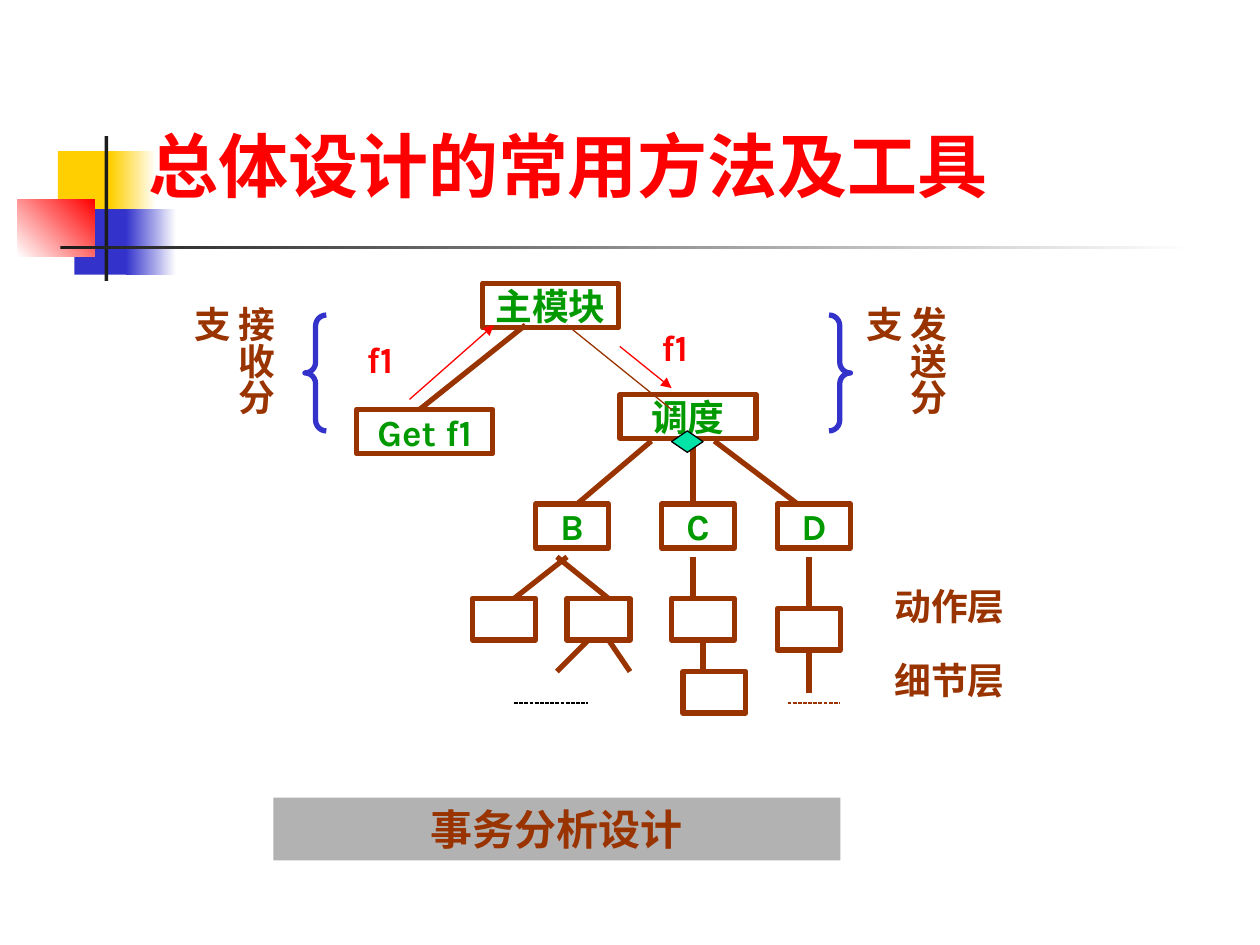
from pptx import Presentation
from pptx import util as u
from pptx.dml import color
from pptx.enum import dml, shapes, text
from pptx.oxml import ns
from lxml import etree

COLORS = {
    "yellow": "FFCF01", "blue": "3333CC", "red": "FF0000", "white": "FFFFFF",
    "ink": "1C1C1C", "black": "000000", "gray": "B2B2B2", "brown": "993300",
    "green": "009900", "teal": "00E4A8",
}
SHAPE = shapes.MSO_SHAPE


def rgb(name):
    return color.RGBColor.from_string(COLORS[name])


class Chart:
    """Draws a module structure chart on one slide in a shared style."""

    font = "Karla"
    size = 21
    stroke = 3

    def __init__(self, slide):
        self.slide = slide

    def shape(self, kind, box, fill=None, line=None, width=stroke):
        shape = self.slide.shapes.add_shape(kind, *map(u.Inches, box))
        shape.shadow.inherit = False
        if fill:
            shape.fill.solid()
            shape.fill.fore_color.rgb = rgb(fill)
        else:
            shape.fill.background()
        if line:
            shape.line.color.rgb = rgb(line)
            shape.line.width = u.Pt(width)
        else:
            shape.line.fill.background()
        return shape

    def gradient(self, box, start, end, angle=0):
        shape = self.shape(SHAPE.RECTANGLE, box)
        shape.fill.gradient()
        shape.fill.gradient_angle = angle
        for stop, name in zip(shape.fill.gradient_stops, (start, end)):
            stop.color.rgb = rgb(name)

    def set_text(self, shape, words, ink, size=size, font=font, align=text.PP_ALIGN.LEFT,
                 insets=(0.1, 0.05, 0.1, 0.05)):
        frame = shape.text_frame
        frame.word_wrap = True
        frame.auto_size = text.MSO_AUTO_SIZE.SHAPE_TO_FIT_TEXT
        frame.vertical_anchor = text.MSO_ANCHOR.TOP
        (frame.margin_left, frame.margin_top,
         frame.margin_right, frame.margin_bottom) = map(u.Inches, insets)
        paragraph = frame.paragraphs[0]
        paragraph.text = words
        paragraph.alignment = align
        paragraph.font.name = font
        paragraph.font.size = u.Pt(size)
        paragraph.font.bold = True
        paragraph.font.color.rgb = rgb(ink)

    def label(self, words, box, ink="brown", **style):
        shape = self.slide.shapes.add_textbox(*map(u.Inches, box))
        self.set_text(shape, words, ink, **style)
        return shape

    def vertical_label(self, words, box):
        shape = self.label(words, box, insets=(0.05, 0.1, 0.05, 0.1))
        shape.text_frame._txBody.bodyPr.set("vert", "eaVert")

    def module(self, left, top, width, height=0.35, name=None):
        shape = self.shape(SHAPE.RECTANGLE, (left, top, width, height), line="brown")
        if name:
            self.set_text(shape, name, "green", align=text.PP_ALIGN.CENTER, insets=(0,) * 4)
        return shape

    def brace(self, kind, left):
        shape = self.shape(kind, (left, 2.5, 0.17, 0.92), line="blue")
        shape.adjustments[0] = 0.5

    def line(self, start, end, ink="brown", width=stroke, arrow=False, dash=None):
        connector = self.slide.shapes.add_connector(
            shapes.MSO_CONNECTOR.STRAIGHT, *map(u.Inches, start + end))
        connector.line.color.rgb = rgb(ink)
        connector.line.width = u.Pt(width)
        if dash:
            connector.line.dash_style = dash
        if arrow:
            etree.SubElement(connector.line._get_or_add_ln(), ns.qn("a:tailEnd"), type="triangle")
        etree.SubElement(connector._element.spPr, ns.qn("a:effectLst"))
        return connector


def main():
    presentation = Presentation()
    presentation.slide_width, presentation.slide_height = u.Inches(10), u.Inches(7.5)
    chart = Chart(presentation.slides.add_slide(presentation.slide_layouts[6]))

    chart.shape(SHAPE.RECTANGLE, (0.46, 1.2, 0.48, 0.52), "yellow")
    chart.gradient((0.88, 1.2, 0.36, 0.52), "yellow", "white")
    chart.shape(SHAPE.RECTANGLE, (0.59, 1.66, 0.46, 0.52), "blue")
    chart.gradient((1, 1.66, 0.4, 0.52), "blue", "white")
    chart.gradient((0.14, 1.58, 0.61, 0.46), "white", "red", 45)
    chart.shape(SHAPE.RECTANGLE, (0.83, 1.08, 0.03, 1.15), "ink")
    chart.gradient((0.48, 1.95, 9, 0.03), "ink", "white")
    chart.label("总体设计的常用方法及工具", (1.08, 0.92, 8.5, 0.77), "red",
                size=40, font="Times New Roman")

    caption = chart.shape(SHAPE.RECTANGLE, (2.17, 6.33, 4.5, 0.5), "gray")
    chart.set_text(caption, "事务分析设计", "brown", size=24, align=text.PP_ALIGN.CENTER)

    for name, left, top in (("主模块", 3.83, 2.25), ("Get f1", 2.83, 3.25), ("调度", 4.92, 3.13)):
        chart.module(left, top, 1.08, name=name)
    chart.line((4.17, 2.58), (3.33, 3.25))
    chart.line((4.5, 2.58), (5.33, 3.25), width=0.75)

    for start, end in (((3.25, 3.17), (3.92, 2.58)), ((4.92, 2.75), (5.33, 3.08))):
        chart.line(start, end, "red", 0.75, arrow=True)
    for left, top in ((2.83, 2.67), (5.17, 2.58)):
        chart.label("f1", (left, top, 0.67, 0.35), "red", insets=(0.08, 0, 0, 0))

    for name, left in (("B", 4.25), ("C", 5.25), ("D", 6.17)):
        chart.module(left, 4, 0.58, name=name)
    for left in (4.5, 3.75):
        chart.module(left, 4.75, 0.5, 0.33)
    action_c = chart.module(5.33, 4.75, 0.5, 0.33)
    action_d = chart.module(6.17, 4.83, 0.5, 0.33)
    chart.module(5.42, 5.33, 0.5, 0.33)

    for start, end in (
        ((5.17, 3.5), (4.58, 4)), ((5.5, 3.5), (5.5, 4)), ((5.67, 3.5), (6.33, 4)),
        ((4.5, 4.42), (4.08, 4.75)), ((4.42, 4.42), (4.83, 4.75)),
        ((5.5, 4.42), (5.5, 4.75)),
        ((4.67, 5.08), (4.42, 5.33)), ((4.83, 5.08), (5, 5.33)),
    ):
        chart.line(start, end)
    chart.line((6.42, 4.42), (6.42, 4.83)).end_connect(action_d, 0)
    chart.line((6.42, 5.16), (6.42, 5.5)).begin_connect(action_d, 2)
    chart.line((5.58, 5.08), (5.58, 5.33)).begin_connect(action_c, 2)
    for left, right, ink in ((4.08, 4.67, "black"), (6.25, 6.67, "brown")):
        chart.line((left, 5.58), (right, 5.58), ink, 0.75, dash=dml.MSO_LINE.SQUARE_DOT)

    chart.brace(SHAPE.LEFT_BRACE, 2.42)
    chart.brace(SHAPE.RIGHT_BRACE, 6.58)
    for words, left in (("接收分支", 1.7), ("发送分支", 7.04)):
        chart.vertical_label(words, (left, 2.33, 0.55, 1.33))
    chart.shape(SHAPE.DIAMOND, (5.33, 3.42, 0.25, 0.17), "teal", "black", 0.75)
    for words, top in (("动作层", 4.58), ("细节层", 5.17)):
        chart.label(words, (7, top, 1.58, 0.45))

    presentation.save("out.pptx")


if __name__ == "__main__":
    main()
